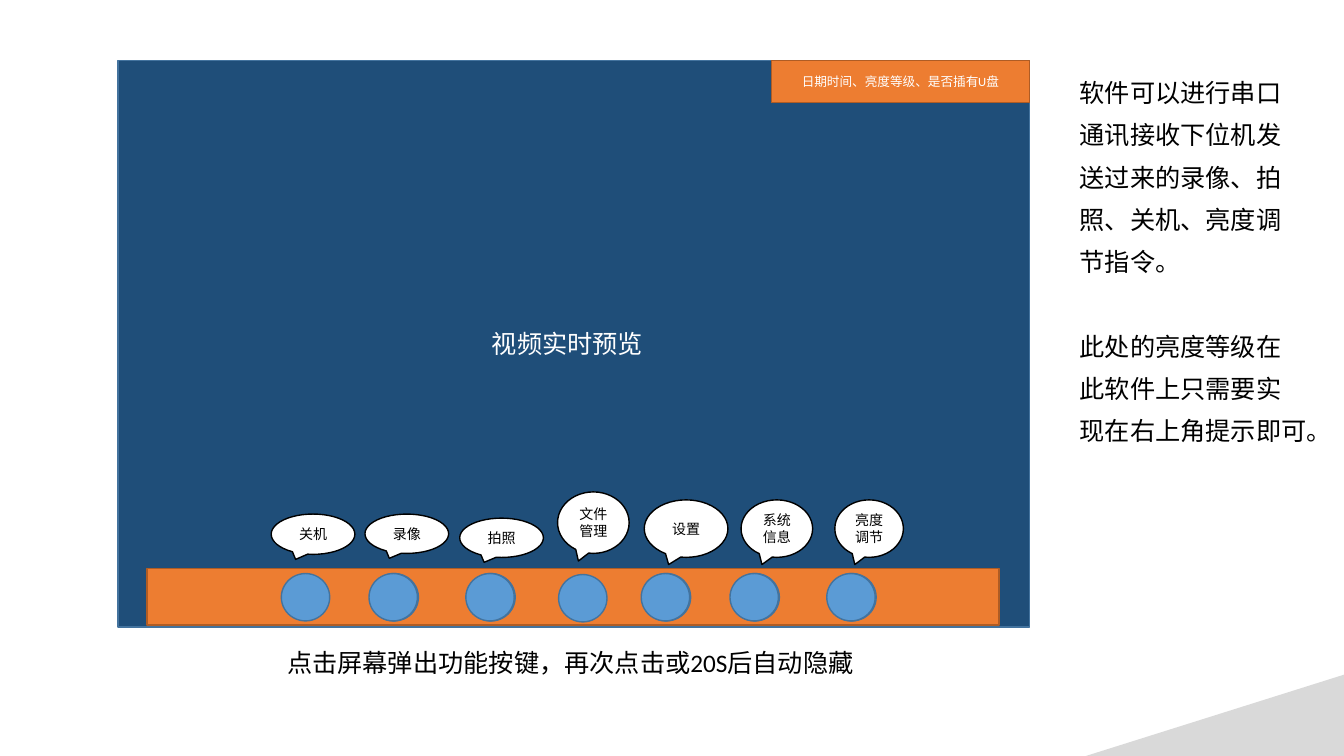
import pptx
import pptx.util
import pptx.dml.color
import pptx.enum.shapes
import pptx.enum.text

SHAPES = pptx.enum.shapes.MSO_SHAPE
ALIGN = pptx.enum.text.PP_ALIGN
ANCHOR = pptx.enum.text.MSO_ANCHOR
EMU_PER_PX = 9144  # 100 px to the inch

NAVY, BLUE, BLUE_EDGE = "1F4E79", "5B9BD5", "43739E"
ORANGE, ORANGE_EDGE = "ED7D31", "AF5C24"
WHITE, BLACK, GREY = "FFFFFF", "000000", "D9D9D9"


def px(length):
    return pptx.util.Emu(length * EMU_PER_PX)


def rgb(value):
    return pptx.dml.color.RGBColor.from_string(value)


class SlideBuilder:
    font = "Calibri"
    body_size = 18

    def __init__(self, slide):
        self.slide = slide

    def format_paragraph(self, paragraph, size, color):
        for run in paragraph.runs:
            run.font.name = self.font
            run.font.size = pptx.util.Pt(size)
            run.font.color.rgb = rgb(color)

    def shape(self, kind, box, fill, edge=None, text="", size=10, color=BLACK):
        shape = self.slide.shapes.add_shape(kind, *map(px, box))
        shape.shadow.inherit = False
        shape.fill.solid()
        shape.fill.fore_color.rgb = rgb(fill)
        if edge:
            shape.line.color.rgb = rgb(edge)
            shape.line.width = pptx.util.Pt(1)
        else:
            shape.line.fill.background()
        if text:
            text_frame = shape.text_frame
            text_frame.text = text
            text_frame.vertical_anchor = ANCHOR.MIDDLE
            paragraph = text_frame.paragraphs[0]
            paragraph.alignment = ALIGN.CENTER
            self.format_paragraph(paragraph, size, color)
        return shape

    def text(self, box, text, color=BLACK, wrap=True, spacing=None):
        text_box = self.slide.shapes.add_textbox(*map(px, box))
        text_frame = text_box.text_frame
        text_frame.word_wrap = wrap
        text_frame.text = text
        for paragraph in text_frame.paragraphs:
            if spacing:
                paragraph.line_spacing = spacing
            self.format_paragraph(paragraph, self.body_size, color)
        return text_box


def main():
    presentation = pptx.Presentation()
    presentation.slide_width = px(1333)
    presentation.slide_height = px(750)
    slide = presentation.slides.add_slide(presentation.slide_layouts[6])
    builder = SlideBuilder(slide)

    # Video preview with status bar
    builder.shape(SHAPES.RECTANGLE, (117, 60, 904, 562), NAVY, BLUE_EDGE)
    builder.text((478, 321, 181, 40), "视频实时预览", WHITE)
    builder.shape(SHAPES.RECTANGLE, (765, 60, 256, 42), ORANGE, ORANGE_EDGE,
                  "日期时间、亮度等级、是否插有U盘", 9, WHITE)
    builder.text((275, 637, 587, 42),
                 "点击屏幕弹出功能按键，再次点击或20S后自动隐藏")

    # Button bar: most buttons are two discs, one px apart
    builder.shape(SHAPES.RECTANGLE, (146, 564, 845, 56), ORANGE, ORANGE_EDGE)
    back_lefts = (279, 367, 463, 637, 725, 821)
    discs = [(left, 569) for left in back_lefts]
    discs += [(left - 1, 569) for left in back_lefts[1:]]
    discs.append((554, 570))
    for left, top in discs:
        builder.shape(SHAPES.OVAL, (left, top, 48, 47), BLUE, BLUE_EDGE)

    # Button labels
    callouts = (
        ("关机", (269, 510, 83, 40)),
        ("录像", (362, 510, 83, 39)),
        ("拍照", (456, 514, 83, 39)),
        ("文件管理", (553, 488, 71, 61)),
        ("设置", (639, 496, 83, 57)),
        ("系统信息", (735, 496, 71, 57)),
        ("亮度调节", (828, 496, 68, 57)),
    )
    for label, box in callouts:
        builder.shape(SHAPES.OVAL_CALLOUT, box, WHITE, BLACK, label)

    # Side notes
    command_note = ("软件可以进行串口", "通讯接收下位机发", "送过来的录像、拍",
                    "照、关机、亮度调", "节指令。")
    brightness_note = ("此处的亮度等级在", "此软件上只需要实", "现在右上角提示即可。")
    notes = builder.text((1061, 60, 257, 404),
                         "\n".join(command_note + brightness_note),
                         wrap=False, spacing=1.4)
    second_note = notes.text_frame.paragraphs[len(command_note)]
    second_note.space_before = pptx.util.Pt(30)

    # Corner triangle
    corner = builder.shape(SHAPES.RIGHT_TRIANGLE, (1077, 669, 257, 81), GREY)
    corner.element.spPr.get_or_add_xfrm().set("flipH", "1")

    presentation.save("out.pptx")


if __name__ == "__main__":
    main()
